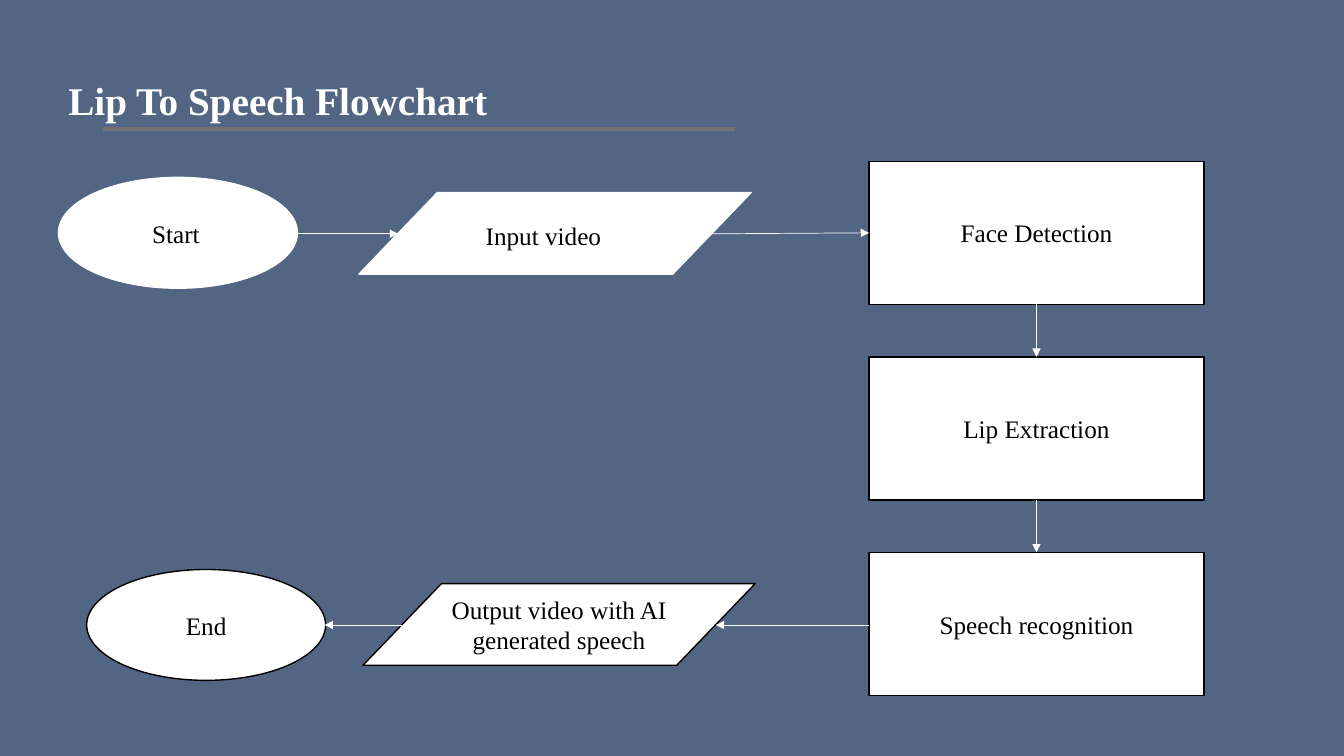
from dataclasses import dataclass

from pptx import Presentation
from pptx.dml.color import RGBColor
from pptx.enum.shapes import MSO_CONNECTOR as Connector, MSO_SHAPE as Shape
from pptx.enum.text import MSO_ANCHOR as Anchor, PP_ALIGN as Align
from pptx.oxml.ns import qn
from pptx.util import Inches, Pt
from lxml.etree import SubElement


@dataclass(frozen=True)
class Theme:
    font: str = "Times New Roman"
    background: str = "526582"
    white: str = "FFFFFF"
    black: str = "000000"
    rule: str = "767171"
    title_size: float = 28
    body_size: float = 18
    outline: float = 1
    arrow: float = 0.5
    underline: float = 3


class FlowchartSlide:
    def __init__(self, presentation, theme):
        self.theme = theme
        self.slide = presentation.slides.add_slide(presentation.slide_layouts[6])
        fill = self.slide.background.fill
        fill.solid()
        fill.fore_color.rgb = RGBColor.from_string(theme.background)

    def add_text(self, shape, text, size, color, align, anchor, bold=False):
        frame = shape.text_frame
        frame.word_wrap = True
        frame.vertical_anchor = anchor
        paragraph = frame.paragraphs[0]
        paragraph.alignment = align
        run = paragraph.add_run()
        run.text = text
        run.font.name = self.theme.font
        run.font.size = Pt(size)
        run.font.bold = bold
        run.font.color.rgb = RGBColor.from_string(color)

    def title(self, text, left, top, width, height):
        box = self.slide.shapes.add_textbox(*map(Inches, (left, top, width, height)))
        self.add_text(box, text, self.theme.title_size, self.theme.white,
                      Align.LEFT, Anchor.TOP, bold=True)

    def label(self, text, left, top, width, height):
        box = self.slide.shapes.add_textbox(*map(Inches, (left, top, width, height)))
        self.add_text(box, text, self.theme.body_size, self.theme.black,
                      Align.CENTER, Anchor.MIDDLE)

    def node(self, kind, left, top, width, height, outline, text=None):
        shape = self.slide.shapes.add_shape(kind, *map(Inches, (left, top, width, height)))
        shape.shadow.inherit = False
        shape.fill.solid()
        shape.fill.fore_color.rgb = RGBColor.from_string(self.theme.white)
        shape.line.color.rgb = RGBColor.from_string(outline)
        shape.line.width = Pt(self.theme.outline)
        if text:
            self.add_text(shape, text, self.theme.body_size, self.theme.black,
                          Align.CENTER, Anchor.MIDDLE)

    def line(self, start, end, color, width):
        connector = self.slide.shapes.add_connector(
            Connector.STRAIGHT, *map(Inches, (*start, *end)))
        connector.line.color.rgb = RGBColor.from_string(color)
        connector.line.width = Pt(width)
        SubElement(connector._element.spPr, qn("a:effectLst"))
        return connector

    def arrow(self, start, end):
        connector = self.line(start, end, self.theme.white, self.theme.arrow)
        outline = connector._element.spPr.find(qn("a:ln"))
        SubElement(outline, qn("a:tailEnd"), type="triangle")


def main():
    presentation = Presentation()
    presentation.slide_width = Inches(13.33)
    presentation.slide_height = Inches(7.5)
    theme = Theme()
    flowchart = FlowchartSlide(presentation, theme)

    flowchart.title("Lip To Speech Flowchart", 0.58, 0.71, 5.83, 0.57)
    flowchart.line((1.02, 1.28), (7.29, 1.28), theme.rule, theme.underline)

    oval_size = (2.37, 1.1)
    data_size = (3.89, 0.81)
    flowchart.node(Shape.OVAL, 0.58, 1.76, *oval_size, theme.white)
    flowchart.label("Start", 0.98, 2.12, 1.53, 0.4)
    flowchart.node(Shape.FLOWCHART_DATA, 3.56, 1.91, *data_size, theme.white)
    flowchart.label("Input video", 4.57, 2.14, 1.64, 0.4)
    flowchart.node(Shape.FLOWCHART_DATA, 3.6, 5.79, *data_size, theme.black,
                   "Output video with AI generated speech")
    flowchart.node(Shape.OVAL, 0.86, 5.65, *oval_size, theme.black, "End")

    step_left, step_top, step_width, step_height, step_pitch = 8.62, 1.6, 3.32, 1.42, 1.94
    step_center = step_left + step_width / 2
    steps = ("Face Detection", "Lip Extraction", "Speech recognition")
    for index, step in enumerate(steps):
        top = step_top + index * step_pitch
        flowchart.node(Shape.FLOWCHART_PROCESS, step_left, top,
                       step_width, step_height, theme.black, step)
        if index:
            flowchart.arrow((step_center, top - step_pitch + step_height),
                            (step_center, top))

    flowchart.arrow((2.94, 2.32), (3.95, 2.32))
    flowchart.arrow((7.06, 2.32), (step_left, 2.31))
    flowchart.arrow((step_left, 6.2), (7.1, 6.2))
    flowchart.arrow((3.99, 6.2), (3.22, 6.2))

    presentation.save("out.pptx")


if __name__ == "__main__":
    main()
